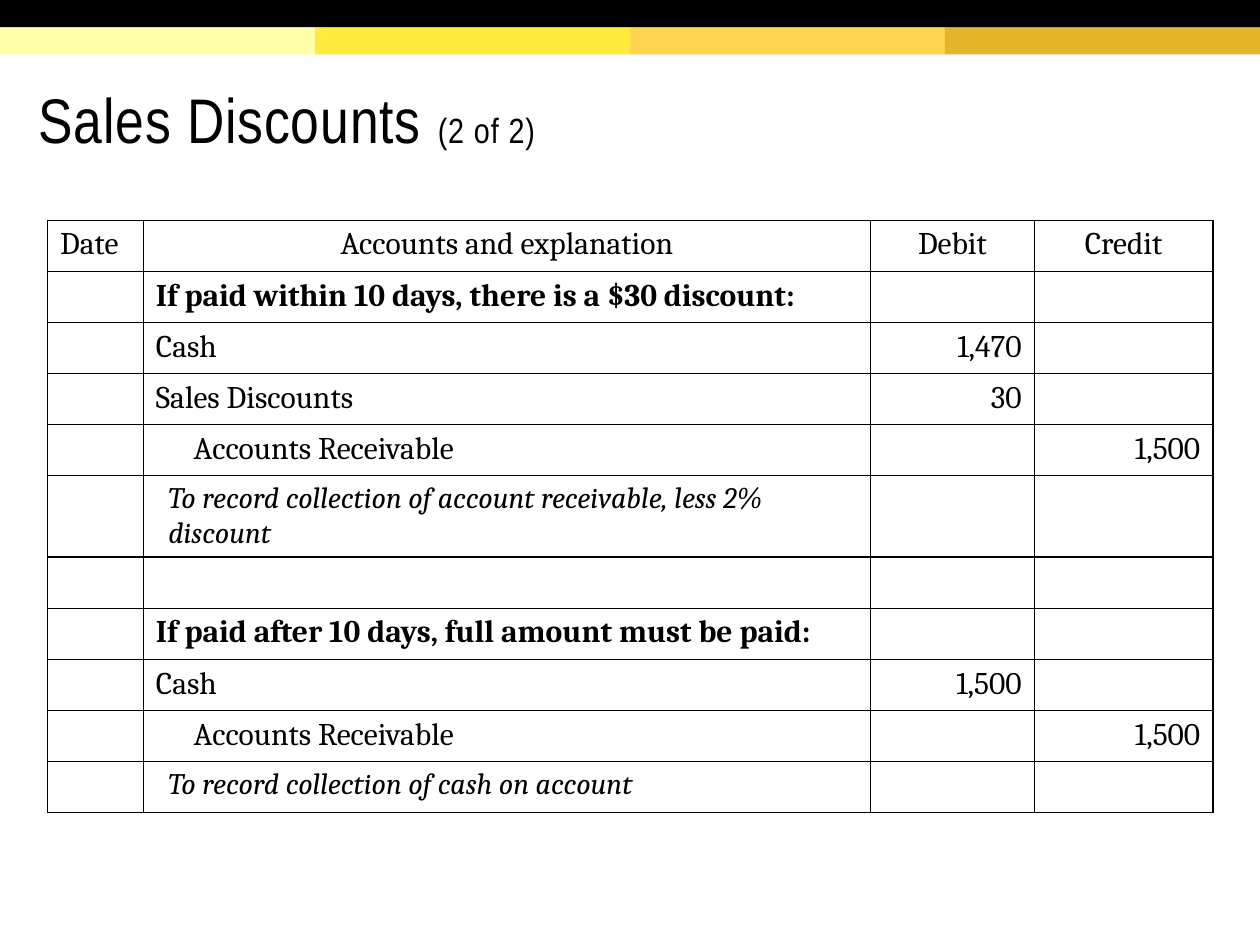
from dataclasses import dataclass

from lxml.etree import SubElement
from pptx import Presentation
from pptx.dml.color import RGBColor
from pptx.enum.shapes import MSO_SHAPE
from pptx.enum.text import MSO_ANCHOR, PP_ALIGN
from pptx.oxml.ns import qn
from pptx.util import Cm, Pt

BLACK = RGBColor(0x00, 0x00, 0x00)
BAND_COLORS = [
    RGBColor(0xFF, 0xFF, 0xAA),
    RGBColor(0xFF, 0xEA, 0x3D),
    RGBColor(0xFF, 0xD5, 0x4F),
    RGBColor(0xE4, 0xB4, 0x29),
]
TITLE_FONT = "Arial Narrow"
TABLE_FONT = "Cambria"
SLIDE_WIDTH, SLIDE_HEIGHT = 25.4, 19.05
BAND_HEIGHT = 0.55
COLUMN_WIDTHS = [1.93, 14.66, 3.3, 3.6]
ROW_HEIGHT = 1.03


@dataclass
class Entry:
    """One cell of the journal."""
    text: str = ""
    align: PP_ALIGN = PP_ALIGN.LEFT
    indent: float = 0
    size: float = 18
    bold: bool = False
    italic: bool = False


def heading(text: str) -> Entry:
    return Entry(text, PP_ALIGN.CENTER)


def amount(text: str) -> Entry:
    return Entry(text, PP_ALIGN.RIGHT)


def line(account: Entry, debit: str = "", credit: str = "") -> list[Entry]:
    return [Entry(), account, amount(debit), amount(credit)]


def condition(text: str) -> list[Entry]:
    return line(Entry(text, bold=True))


def explanation(text: str) -> list[Entry]:
    return line(Entry(text, indent=0.25, size=17, italic=True))


RECEIVABLE = Entry("Accounts Receivable", indent=0.76)
JOURNAL = [
    [Entry("Date"), heading("Accounts and explanation"), heading("Debit"), heading("Credit")],
    condition("If paid within 10 days, there is a $30 discount:"),
    line(Entry("Cash"), debit="1,470"),
    line(Entry("Sales Discounts"), debit="30"),
    line(RECEIVABLE, credit="1,500"),
    explanation("To record collection of account receivable, less 2% discount"),
    line(Entry()),
    condition("If paid after 10 days, full amount must be paid:"),
    line(Entry("Cash"), debit="1,500"),
    line(RECEIVABLE, credit="1,500"),
    explanation("To record collection of cash on account"),
]


def add_band(slide, left: float, top: float, width: float, color: RGBColor) -> None:
    shape = slide.shapes.add_shape(
        MSO_SHAPE.RECTANGLE, Cm(left), Cm(top), Cm(width), Cm(BAND_HEIGHT))
    shape.shadow.inherit = False
    shape.fill.solid()
    shape.fill.fore_color.rgb = color
    shape.line.fill.background()


def add_run(paragraph, text: str, font_name: str, size: float):
    run = paragraph.add_run()
    run.text = text
    run.font.name = font_name
    run.font.size = Pt(size)
    run.font.color.rgb = BLACK
    return run


def add_title(slide) -> None:
    title = slide.shapes.title
    title.left, title.top, title.width, title.height = Cm(0.53), Cm(1.19), Cm(24.1), Cm(2.49)
    frame = title.text_frame
    frame.word_wrap = True
    frame.vertical_anchor = MSO_ANCHOR.MIDDLE
    frame.margin_left = frame.margin_right = frame.margin_top = Cm(0.25)
    frame.margin_bottom = Cm(0.13)
    paragraph = frame.paragraphs[0]
    paragraph.alignment = PP_ALIGN.LEFT
    paragraph.line_spacing = 0.85
    for text, size in (("Sales Discounts ", 36), ("(2 of 2)", 20)):
        run = add_run(paragraph, text, TITLE_FONT, size)
        run._r.get_or_add_rPr().set("spc", "50")


def set_borders(cell) -> None:
    properties = cell._tc.get_or_add_tcPr()
    for side in ("a:lnL", "a:lnR", "a:lnT", "a:lnB"):
        border = SubElement(properties, qn(side), w=str(Pt(1)))
        fill = SubElement(border, qn("a:solidFill"))
        SubElement(fill, qn("a:srgbClr"), val=str(BLACK))


def fill_cell(cell, entry: Entry) -> None:
    set_borders(cell)
    cell.fill.background()
    paragraph = cell.text_frame.paragraphs[0]
    paragraph.alignment = entry.align
    if entry.indent:
        paragraph._p.get_or_add_pPr().set("marL", str(Cm(entry.indent)))
    if entry.text:
        run = add_run(paragraph, entry.text, TABLE_FONT, entry.size)
        run.font.bold = entry.bold
        run.font.italic = entry.italic
    else:
        paragraph.font.size = Pt(entry.size)


def add_journal(slide) -> None:
    table = slide.shapes.add_table(
        len(JOURNAL), len(COLUMN_WIDTHS), Cm(0.96), Cm(4.44),
        Cm(sum(COLUMN_WIDTHS)), Cm(ROW_HEIGHT * len(JOURNAL))).table
    table.first_row = table.horz_banding = False
    for column, width in zip(table.columns, COLUMN_WIDTHS):
        column.width = Cm(width)
    for row, entries in zip(table.rows, JOURNAL):
        row.height = Cm(ROW_HEIGHT)
        for cell, entry in zip(row.cells, entries):
            fill_cell(cell, entry)


def main() -> None:
    presentation = Presentation()
    presentation.slide_width, presentation.slide_height = Cm(SLIDE_WIDTH), Cm(SLIDE_HEIGHT)
    slide = presentation.slides.add_slide(presentation.slide_layouts[5])

    # Coloured bands under the black top bar
    band_width = SLIDE_WIDTH / len(BAND_COLORS)
    for index, color in enumerate(BAND_COLORS):
        add_band(slide, index * band_width, BAND_HEIGHT, band_width, color)
    add_band(slide, 0, 0, SLIDE_WIDTH, BLACK)

    # Title and journal entries
    add_title(slide)
    add_journal(slide)
    presentation.save("out.pptx")


if __name__ == "__main__":
    main()
